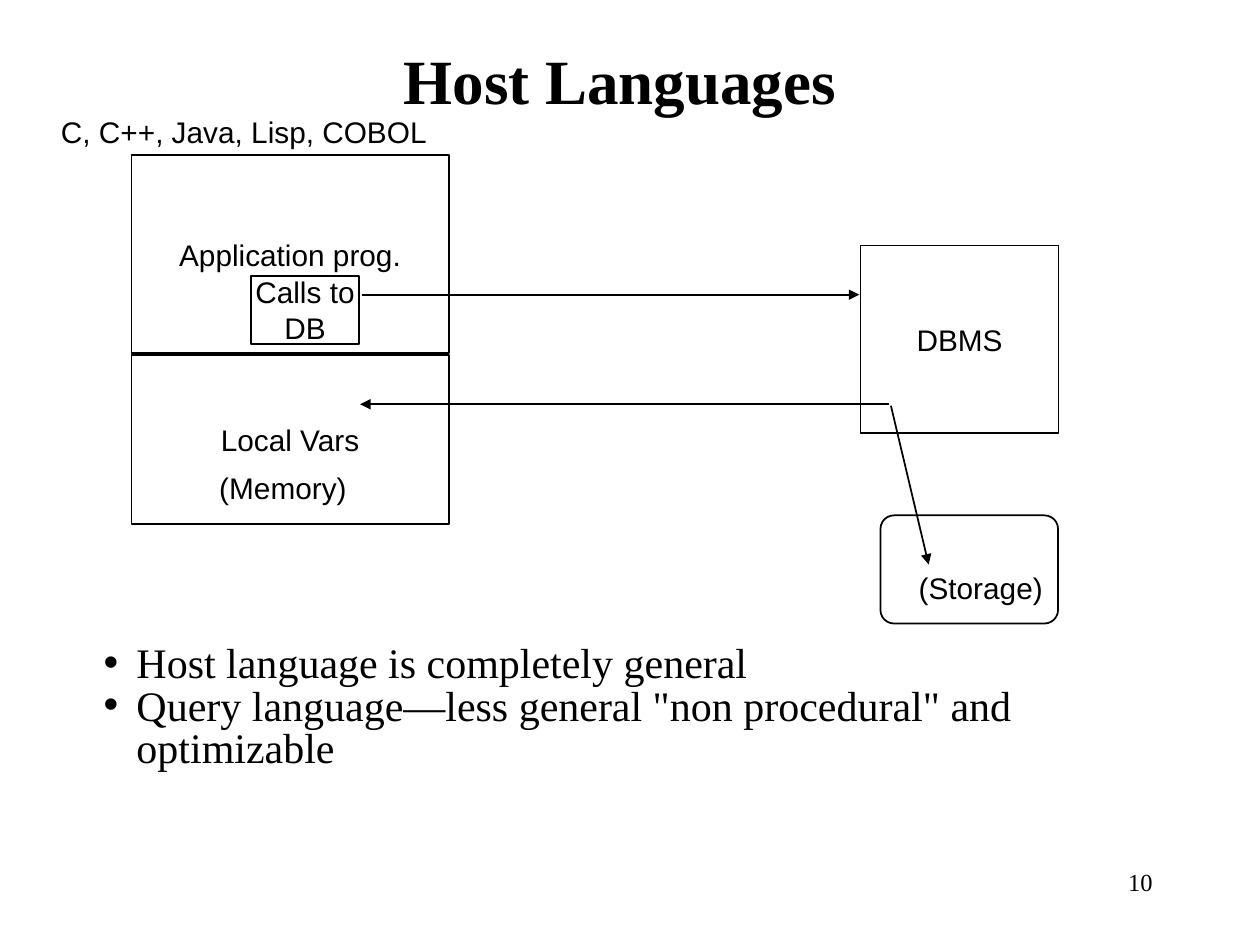
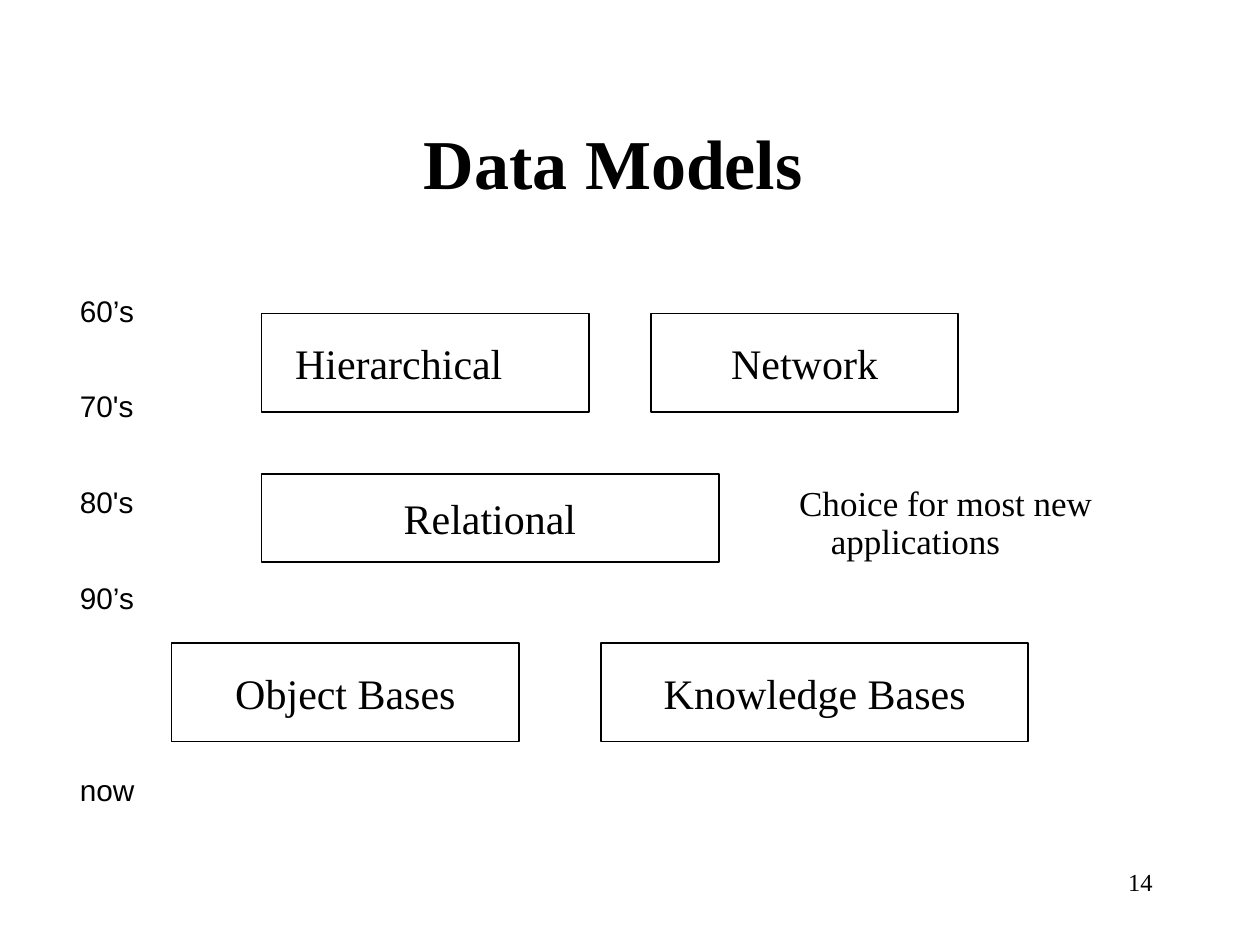
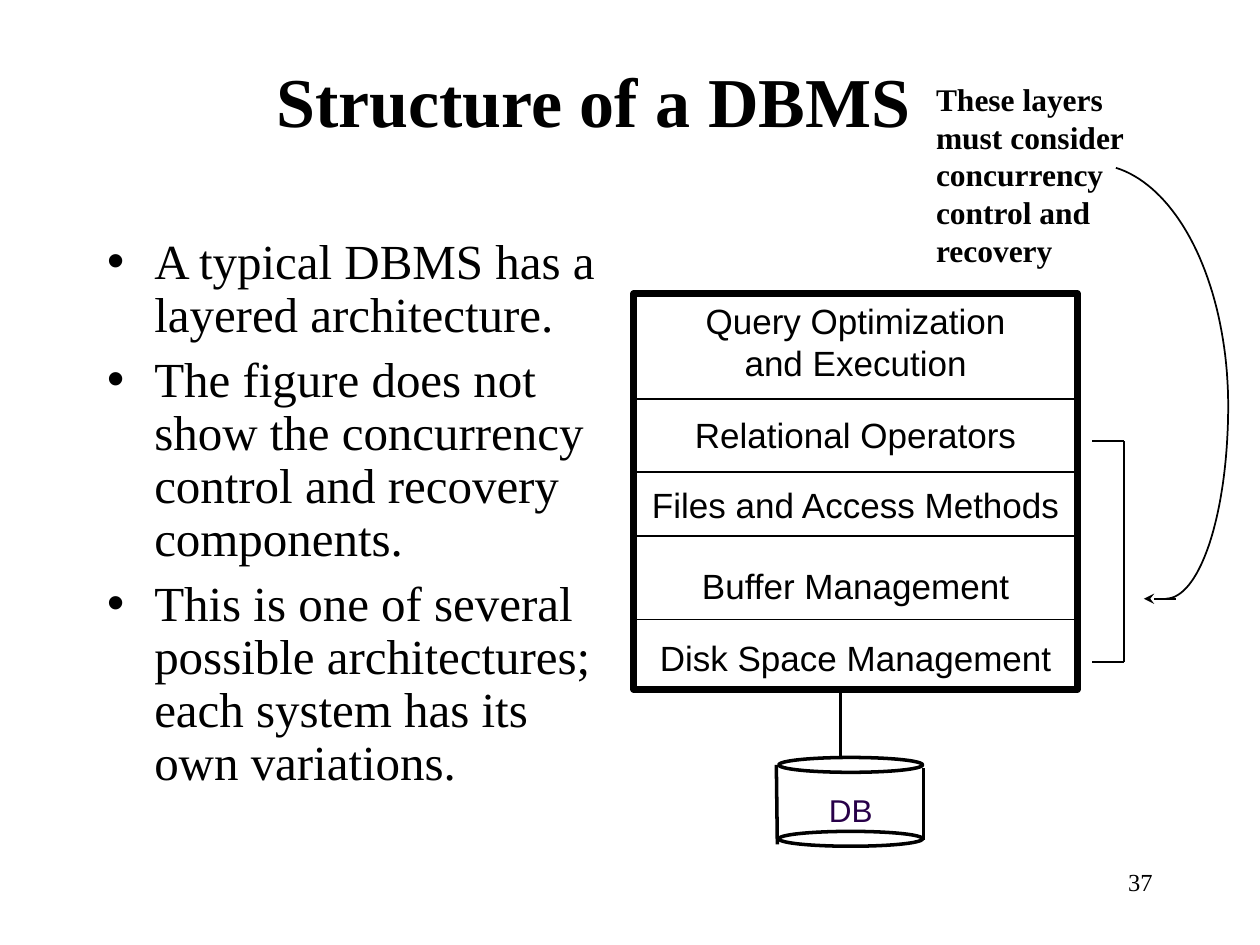
from dataclasses import dataclass
from math import cos, radians, sin

from lxml import etree
from pptx import Presentation
from pptx.dml.color import RGBColor
from pptx.enum.shapes import MSO_CONNECTOR, MSO_SHAPE
from pptx.enum.text import MSO_ANCHOR, MSO_AUTO_SIZE, PP_ALIGN
from pptx.oxml.ns import qn
from pptx.util import Cm, Pt

LEFT, CENTER, RIGHT = PP_ALIGN.LEFT, PP_ALIGN.CENTER, PP_ALIGN.RIGHT
TOP, MIDDLE = MSO_ANCHOR.TOP, MSO_ANCHOR.MIDDLE
RECTANGLE, ROUNDED, OVAL = MSO_SHAPE.RECTANGLE, MSO_SHAPE.ROUNDED_RECTANGLE, MSO_SHAPE.OVAL
STRAIGHT = MSO_CONNECTOR.STRAIGHT
TITLE_AND_BODY, TITLE_ONLY = 1, 5


@dataclass(frozen=True)
class Theme:
    ink: RGBColor = RGBColor(0, 0, 0)
    database: RGBColor = RGBColor(0x28, 0x00, 0x49)
    serif: str = "Times New Roman"
    sans: str = "Arial"
    title: int = 40
    small_title: int = 36
    large_body: int = 28
    body: int = 24
    layer: int = 20
    callout: int = 18
    label: int = 17
    number: int = 14
    thin: int = 1
    medium: int = 2
    thick: int = 4
    none: tuple = (0, 0, 0, 0)
    tight: tuple = (0.18, 0.08, 0.18, 0.08)
    roomy: tuple = (0.25, 0.13, 0.25, 0.13)


THEME = Theme()
NUMBER_AREA = (18.21, 17.35, 5.28, 1.27)

HOST_BULLETS = [
    "Host language is completely general",
    'Query language—less general "non procedural" and optimizable',
]
HOST_BOXES = [
    (["Application prog."], (2.65, 3.13, 6.4, 3.99)),
    (["Local Vars"], (2.65, 7.16, 6.4, 3.4)),
    (["DBMS"], (17.35, 4.95, 3.99, 3.78)),
    (["Calls to", "DB"], (5.06, 5.56, 2.18, 1.37)),
]
HOST_LABELS = [
    ("C, C++, Java, Lisp, COBOL", (1.05, 2.32, 7.8, 0.74)),
    ("(Memory)", (4.24, 9.51, 3.2, 0.74)),
    ("(Storage)", (18.34, 11.51, 3.2, 0.74)),
]
STORAGE_AREA = (17.75, 10.39, 3.58, 2.18)
HOST_ARROWS = [
    (7.29, 5.94, 17.32, 5.94),
    (17.93, 8.15, 7.26, 8.15),
    (17.96, 8.18, 18.72, 11.38),
]

ERAS = ["60’s", "70's", "80's", "90’s", "now"]
ERA_GAPS = [0, 36.6, 36.6, 36.6, 91.3]
MODELS = [
    ("Hierarchical", (5.27, 6.32, 6.6, 1.98), (0, 0, 1.06, 0)),
    ("Network", (13.12, 6.32, 6.2, 1.98), THEME.none),
    ("Relational", (5.27, 9.55, 9.22, 1.78), THEME.none),
    ("Object Bases", (3.46, 12.97, 7.01, 1.98), THEME.none),
    ("Knowledge Bases", (12.12, 12.97, 8.61, 1.98), THEME.none),
]
MODEL_NOTE = "Choice for most new applications"

STRUCTURE_BULLETS = [
    "A typical DBMS has a layered architecture.",
    "The figure does not show the concurrency control and recovery components.",
    "This is one of several possible architectures; each system has its own variations.",
]
LAYERS = [
    (["Query Optimization", "and Execution"], 5.91),
    (["Relational Operators"], 8.2),
    (["Files and Access Methods"], 9.62),
    (["Buffer Management"], 11.25),
    (["Disk Space Management"], 12.7),
]
LAYER_HEIGHT = 1.09
FRAME_AREA = (12.78, 5.92, 8.94, 7.98)
DIVIDERS = [8.05, 9.52, 10.8, 12.49]
DISK_RIMS = [15.27, 16.76]
DISK_LINES = [
    (15.65, 15.42, 15.67, 17.02),
    (18.62, 15.49, 18.62, 16.94),
    (16.94, 13.97, 16.94, 15.24),
]
BRACKET = [
    (22.02, 8.89, 22.66, 8.89),
    (22.66, 8.89, 22.66, 13.34),
    (22.02, 13.34, 22.66, 13.34),
]
CALLOUT = ["These layers", "must consider", "concurrency", "control and", "recovery"]
CALLOUT_ARCS = [
    (22.02, 8.18, 2.74, 4.87, -80, 0),
    (23.5, 8.18, 1.26, 3.89, 0, 90),
]
ARC_STEP = 2


def write(shape, lines, size, font=THEME.serif, align=LEFT, anchor=TOP, inset=THEME.tight,
          spacing=1.0, gaps=None, bold=False, color=THEME.ink, hanging=0, wrap=True):
    frame = shape.text_frame
    frame.auto_size = MSO_AUTO_SIZE.NONE
    frame.word_wrap = wrap
    frame.vertical_anchor = anchor
    (frame.margin_left, frame.margin_top,
     frame.margin_right, frame.margin_bottom) = map(Cm, inset)
    for index, line in enumerate(lines):
        para = frame.paragraphs[0] if index == 0 else frame.add_paragraph()
        para.text = line
        para.alignment = align
        para.line_spacing = spacing
        para.space_before = Pt(gaps[index] if gaps else 0)
        if hanging:
            properties = para._p.get_or_add_pPr()
            properties.set("marL", str(Cm(hanging)))
            properties.set("indent", str(-Cm(hanging)))
        para.font.name = font
        para.font.size = Pt(size)
        para.font.bold = bold
        para.font.color.rgb = color


def place(shape, area):
    shape.left, shape.top, shape.width, shape.height = map(Cm, area)


def add_label(page, lines, area, size, **style):
    write(page.shapes.add_textbox(*map(Cm, area)), lines, size, **style)


def style_outline(shape, weight):
    shape.shadow.inherit = False
    shape.fill.background()
    shape.line.color.rgb = THEME.ink
    shape.line.width = Pt(weight)


def add_outline(page, area, kind=RECTANGLE, weight=THEME.thin):
    shape = page.shapes.add_shape(kind, *map(Cm, area))
    style_outline(shape, weight)
    return shape


def add_line(page, ends, weight=THEME.thin, head=None):
    line = page.shapes.add_connector(STRAIGHT, *map(Cm, ends))
    line.line.color.rgb = THEME.ink
    line.line.width = Pt(weight)
    if head:
        etree.SubElement(line.line._get_or_add_ln(), qn("a:tailEnd"), type=head)
    etree.SubElement(line._element.spPr, qn("a:effectLst"))


def add_curve(page, arcs):
    points = [
        (Cm(x + rx * cos(radians(angle))), Cm(y + ry * sin(radians(angle))))
        for x, y, rx, ry, start, end in arcs
        for angle in range(start, end + 1, ARC_STEP)
    ]
    builder = page.shapes.build_freeform(*points[0], scale=1.0)
    builder.add_line_segments(points[1:], close=False)
    style_outline(builder.convert_to_shape(), THEME.thin)


def add_page(deck, layout, title, area, number, size=THEME.title, **style):
    page = deck.slides.add_slide(deck.slide_layouts[layout])
    place(page.shapes.title, area)
    write(page.shapes.title, [title], size, align=CENTER, bold=True, **style)
    add_label(page, [str(number)], NUMBER_AREA, THEME.number, align=RIGHT, inset=THEME.roomy)
    return page


def add_bullets(page, lines, area, size, **style):
    body = page.placeholders[1]
    place(body, area)
    write(body, lines, size, **style)


def build_host_languages(deck):
    page = add_page(deck, TITLE_AND_BODY, "Host Languages", (5.51, 0.76, 13.97, 1.83), 10,
                    THEME.small_title)
    for lines, area in HOST_BOXES:
        write(add_outline(page, area), lines, THEME.label, font=THEME.sans,
              align=CENTER, anchor=MIDDLE, inset=THEME.none)
    add_outline(page, STORAGE_AREA, ROUNDED).adjustments[0] = 0.125
    for ends in HOST_ARROWS:
        add_line(page, ends, head="triangle")
    for text, area in HOST_LABELS:
        add_label(page, [text], area, THEME.label, font=THEME.sans, spacing=0.85)
    add_bullets(page, HOST_BULLETS, (1.91, 12.9, 21.74, 2.74), THEME.body,
                spacing=0.85, hanging=0.66)


def build_data_models(deck):
    page = add_page(deck, TITLE_ONLY, "Data Models", (4.01, 2.32, 16.71, 1.83), 14)
    for name, area, inset in MODELS:
        write(add_outline(page, area), [name], THEME.body,
              align=CENTER, anchor=MIDDLE, inset=inset)
    add_label(page, ERAS, (1.43, 5.9, 2.62, 10.44), THEME.label, font=THEME.sans,
              spacing=0.89, gaps=ERA_GAPS)
    add_label(page, [MODEL_NOTE], (15.93, 9.73, 7.44, 1.65), THEME.layer,
              spacing=0.9, hanging=0.64)


def build_structure(deck):
    page = add_page(deck, TITLE_AND_BODY, "Structure of a DBMS", (1.7, 0.84, 20.52, 2.34), 37,
                    anchor=MIDDLE, inset=THEME.roomy)
    add_bullets(page, STRUCTURE_BULLETS, (1.91, 4.65, 10.59, 12.27), THEME.large_body,
                inset=THEME.roomy, spacing=0.9, gaps=[0, 7, 7], hanging=0.95)
    left, _, width, _ = FRAME_AREA
    for lines, top in LAYERS:
        add_label(page, lines, (left, top, width, LAYER_HEIGHT * len(lines)), THEME.layer,
                  font=THEME.sans, align=CENTER, inset=(0, 0.13, 0, 0.13))
    add_outline(page, FRAME_AREA, weight=THEME.thick)
    for y in DIVIDERS:
        add_line(page, (12.7, y, 21.79, y))
    for top in DISK_RIMS:
        add_outline(page, (15.7, top, 2.9, 0.3), OVAL, THEME.medium)
    for ends in DISK_LINES:
        add_line(page, ends, THEME.medium)
    add_label(page, ["DB"], (16.46, 15.82, 1.4, 1.02), THEME.callout, font=THEME.sans,
              inset=THEME.roomy, color=THEME.database, wrap=False)
    for ends in BRACKET:
        add_line(page, ends)
    add_label(page, CALLOUT, (18.62, 1.48, 4.29, 4.06), THEME.callout,
              inset=THEME.roomy, bold=True, wrap=False)
    add_curve(page, CALLOUT_ARCS)
    add_line(page, (23.7, 12.07, 23.06, 12.07), head="stealth")


def main():
    deck = Presentation()
    deck.slide_width, deck.slide_height = Cm(25.4), Cm(19.05)
    build_host_languages(deck)
    build_data_models(deck)
    build_structure(deck)
    deck.save("out.pptx")


if __name__ == "__main__":
    main()
